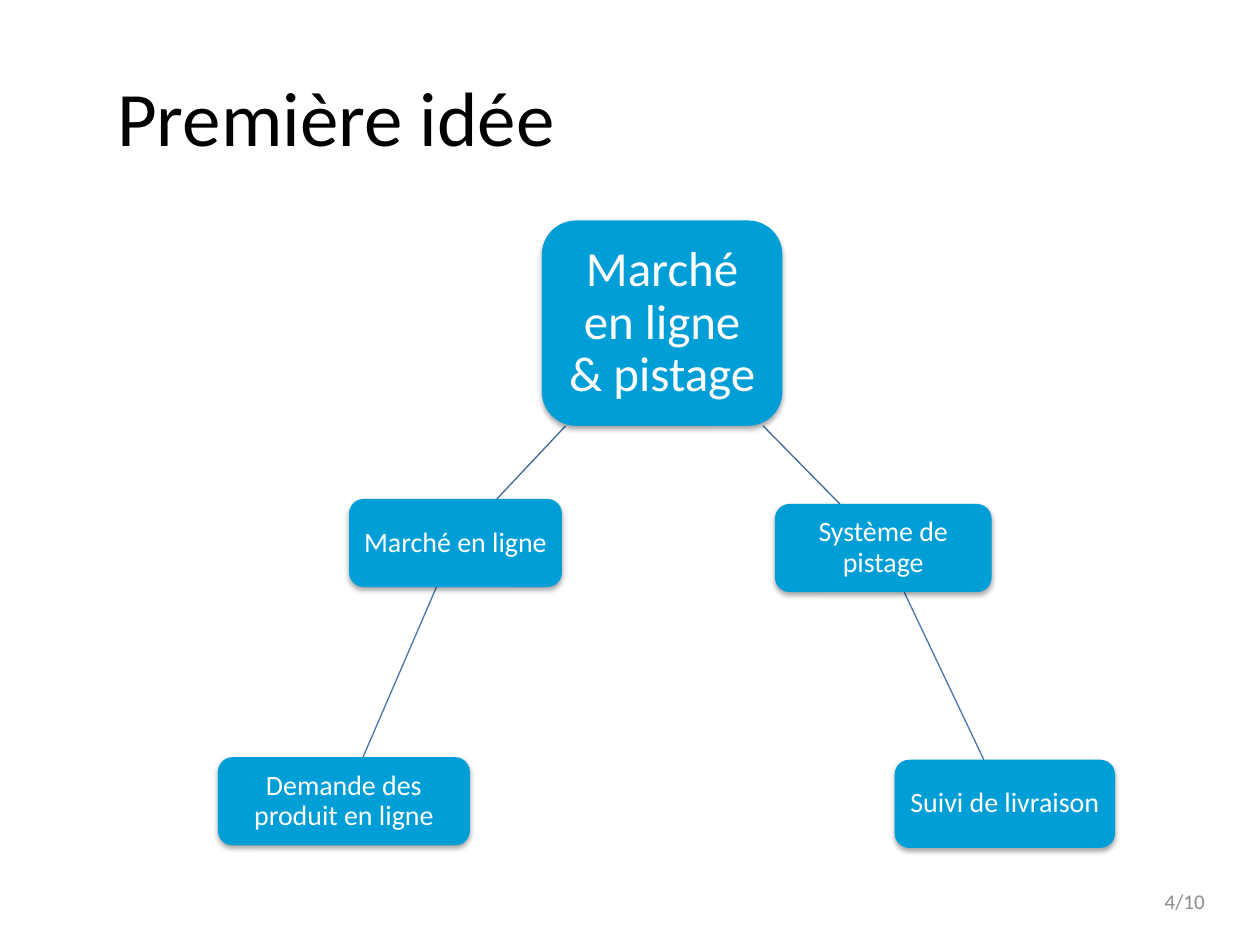
from dataclasses import dataclass

from lxml.etree import SubElement
from pptx import Presentation
from pptx.dml.color import RGBColor
from pptx.enum.shapes import MSO_CONNECTOR, MSO_SHAPE
from pptx.enum.text import MSO_ANCHOR, PP_ALIGN
from pptx.oxml.ns import qn
from pptx.slide import Slide
from pptx.text.text import TextFrame
from pptx.util import Inches, Length, Pt

COLORS = {
    "node": "009ED6",
    "node_text": "FFFFFF",
    "title": "000000",
    "number": "8C8C8C",
    "main_branch": "3F6797",
    "sub_branch": "4875AC",
    "shadow": "000000",
}
FONT = "Calibri"
CELL = 0.1
COLUMNS, ROWS = 100, 75


@dataclass(frozen=True)
class Node:
    """A rounded idea box, placed in grid columns and rows."""

    text: str
    column: float
    row: float
    columns: float
    rows: float = 7
    size: int = 16
    inset: float = 0.4

    @property
    def center(self) -> tuple[float, float]:
        """Return the middle of the box."""
        return self.column + self.columns / 2, self.row + self.rows / 2


@dataclass(frozen=True)
class Branch:
    """A link from a parent idea down to a child idea."""

    parent: Node
    child: Node
    color: str


ROOT = Node("Marché en ligne & pistage", 43, 17.5, 19.1, 16.3, 28, 0.8)
MARKET = Node("Marché en ligne", 27.7, 39.6, 16.9)
TRACKING = Node("Système de pistage", 61.5, 40, 17.2)
ORDERS = Node("Demande des produit en ligne", 17.3, 60.1, 20)
DELIVERY = Node("Suivi de livraison", 71, 60.3, 17.5)
NODES = (ROOT, TRACKING, DELIVERY, MARKET, ORDERS)
BRANCHES = (
    Branch(ROOT, MARKET, "main_branch"),
    Branch(ROOT, TRACKING, "main_branch"),
    Branch(TRACKING, DELIVERY, "sub_branch"),
    Branch(MARKET, ORDERS, "sub_branch"),
)


def grid(*cells: float) -> list[Length]:
    """Turn counts of grid cells into lengths."""
    return [Inches(cell * CELL) for cell in cells]


def color(name: str) -> RGBColor:
    """Look up a named color."""
    return RGBColor.from_string(COLORS[name])


def write(frame: TextFrame, text: str, size: int, color_name: str, alignment: PP_ALIGN) -> None:
    """Write one formatted run in the first paragraph of a frame."""
    frame.word_wrap = True
    frame.vertical_anchor = MSO_ANCHOR.MIDDLE
    paragraph = frame.paragraphs[0]
    paragraph.alignment = alignment
    run = paragraph.add_run()
    run.text = text
    run.font.name = FONT
    run.font.size = Pt(size)
    run.font.color.rgb = color(color_name)


def add_title(slide: Slide, text: str) -> None:
    """Place and fill the title placeholder."""
    title = slide.shapes.title
    title.left, title.top, title.width, title.height = grid(8.3, 2.9, 88.3, 12.5)
    write(title.text_frame, text, 44, "title", PP_ALIGN.LEFT)


def add_page_number(slide: Slide, text: str) -> None:
    """Add the page count at the lower right."""
    box = slide.shapes.add_textbox(*grid(73.3, 69.5, 23.3, 4))
    write(box.text_frame, text, 12, "number", PP_ALIGN.RIGHT)


def add_branch(slide: Slide, branch: Branch) -> None:
    """Draw the part of the line between two centers that lies between the boxes."""
    (start_x, start_y), (end_x, end_y) = branch.parent.center, branch.child.center
    slope = (end_x - start_x) / (end_y - start_y)
    top = branch.parent.row + branch.parent.rows
    bottom = branch.child.row
    ends = [(start_x + slope * (row - start_y), row) for row in (top, bottom)]
    line = slide.shapes.add_connector(MSO_CONNECTOR.STRAIGHT, *grid(*ends[0], *ends[1]))
    line.line.color.rgb = color(branch.color)
    line.line.width = Pt(0.75)
    SubElement(line._element.spPr, qn("a:effectLst"))


def add_node(slide: Slide, node: Node) -> None:
    """Draw an idea box with its text and soft shadow."""
    shape = slide.shapes.add_shape(
        MSO_SHAPE.ROUNDED_RECTANGLE, *grid(node.column, node.row, node.columns, node.rows)
    )
    shape.fill.solid()
    shape.fill.fore_color.rgb = color("node")
    shape.line.fill.background()
    shape.shadow.inherit = False
    effects = shape._element.spPr.find(qn("a:effectLst"))
    shadow = SubElement(
        effects, qn("a:outerShdw"), blurRad=str(Pt(3.1)), dist=str(Pt(1.8)), dir="5400000", rotWithShape="0"
    )
    shade = SubElement(shadow, qn("a:srgbClr"), val=COLORS["shadow"])
    SubElement(shade, qn("a:alpha"), val="35000")
    frame = shape.text_frame
    inset = grid(node.inset)[0]
    frame.margin_left = frame.margin_right = frame.margin_top = frame.margin_bottom = inset
    write(frame, node.text, node.size, "node_text", PP_ALIGN.CENTER)
    frame.paragraphs[0].line_spacing = 0.9


def main() -> None:
    """Build the idea tree slide."""
    presentation = Presentation()
    presentation.slide_width, presentation.slide_height = grid(COLUMNS, ROWS)
    slide = presentation.slides.add_slide(presentation.slide_layouts.get_by_name("Title Only"))
    add_title(slide, "Première idée")
    add_page_number(slide, "4/10")
    for branch in BRANCHES:
        add_branch(slide, branch)
    for node in NODES:
        add_node(slide, node)
    presentation.save("out.pptx")


if __name__ == "__main__":
    main()
